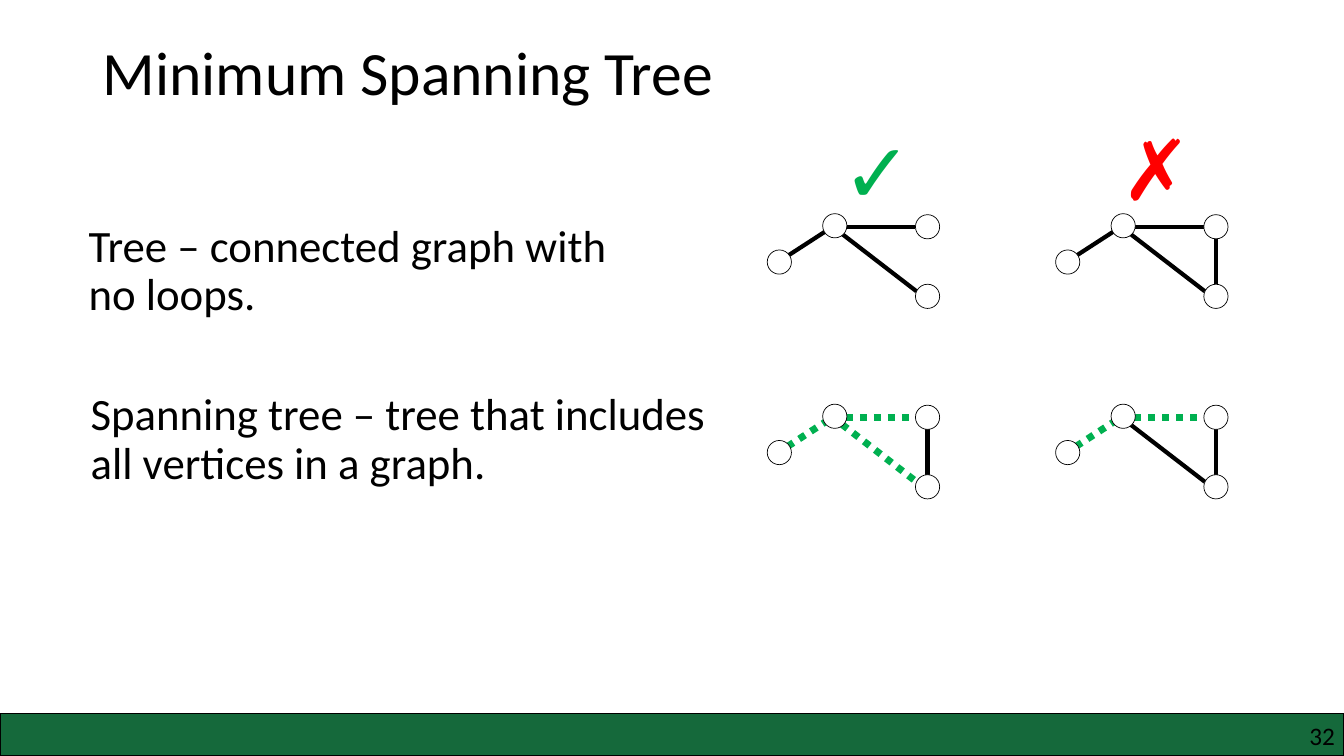
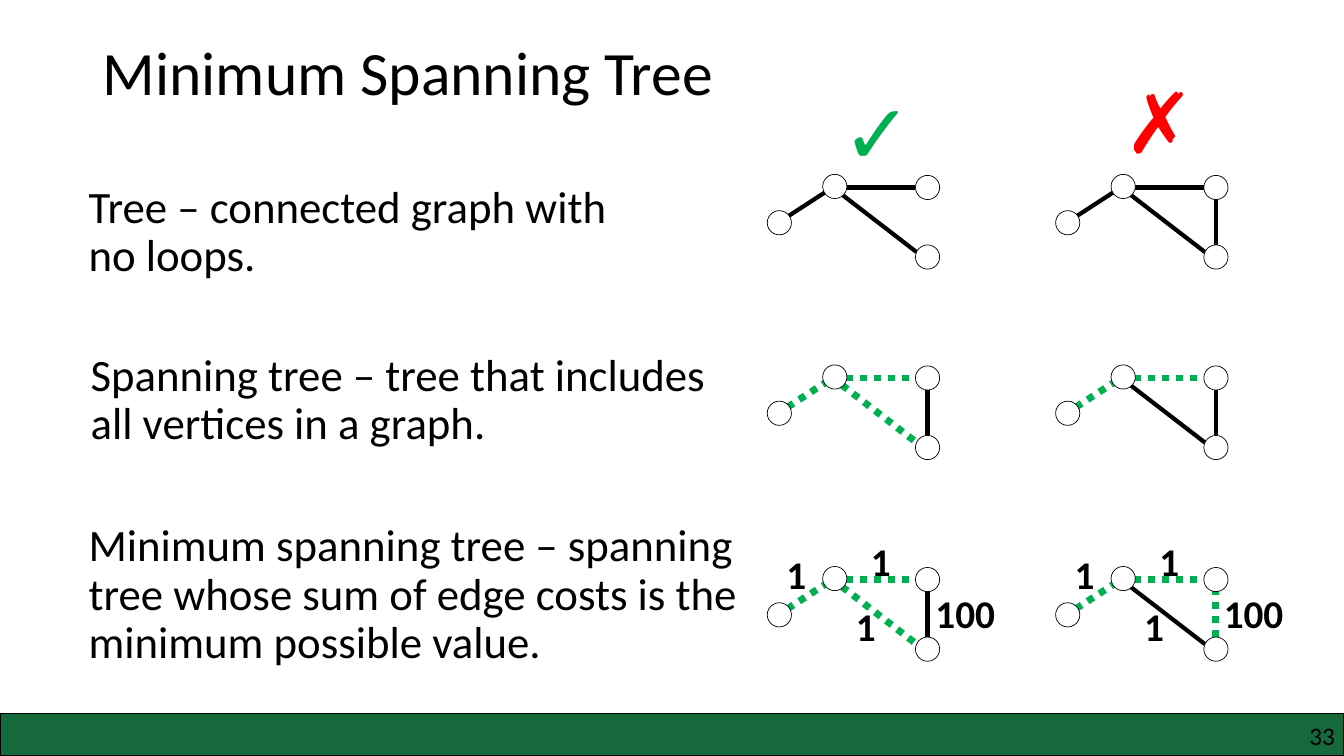
from lxml import etree
from pptx import Presentation
from pptx.dml import color
from pptx.enum import dml, shapes, text
from pptx.oxml import ns
from pptx.util import Inches, Pt

COLORS = {
    "black": "000000",
    "white": "FFFFFF",
    "green": "00B050",
    "red": "FF0000",
    "band": "15693B",
}
SLIDE_WIDTH, SLIDE_HEIGHT = 13.33, 7.5
BAND_TOP = 7.08
NODE_SIZE = 0.24
GRAPH_LEFT = 7.61
COLUMN_STEP = 2.86
NODES = [(0, 0.36), (1.47, 0.01), (0.55, 0), (1.47, 0.7)]
EDGES = {
    "left": ((0.2, 0.42), (0.57, 0.18)),
    "top": ((0.78, 0.13), (1.47, 0.13)),
    "diagonal": ((0.74, 0.2), (1.48, 0.77)),
    "right": ((1.59, 0.7), (1.59, 0.21)),
}
COSTS = [
    ("1", 0.93, -0.34, 0.61),
    ("100", 1.57, 0.18, 0.86),
    ("1", 0.78, 0.31, 0.61),
    ("1", 0.09, -0.21, 0.61),
]
TREE, LOOP = ["left", "top", "diagonal"], list(EDGES)

DEFINITIONS = [
    {
        "text": "Tree – connected graph with no loops.",
        "box": (0.78, 1.78, 5.76, 1.06),
        "graph_top": 1.73,
        "graphs": [(TREE, []), (LOOP, [])],
        "costs": [],
    },
    {
        "text": "Spanning tree – tree that includes all vertices in a graph.",
        "box": (0.8, 3.45, 6.72, 1.06),
        "graph_top": 3.62,
        "graphs": [(LOOP, TREE), (LOOP, ["left", "top"])],
        "costs": [],
    },
    {
        "text": "Minimum spanning tree – spanning tree whose sum of edge costs "
                "is the minimum possible value.",
        "box": (0.78, 5.14, 6.72, 1.67),
        "graph_top": 5.62,
        "graphs": [(LOOP, TREE), (LOOP, ["left", "top", "right"])],
        "costs": COSTS,
    },
]


def rgb(name):
    return color.RGBColor.from_string(COLORS[name])


def add_text(container, content, box, size, font="Calibri", tint="black", bold=False):
    shape = container.add_textbox(*map(Inches, box))
    frame = shape.text_frame
    frame.word_wrap = True
    frame.text = content
    run_font = frame.paragraphs[0].runs[0].font
    run_font.name, run_font.size, run_font.bold = font, Pt(size), bold
    run_font.color.rgb = rgb(tint)
    return frame


def add_filled(container, kind, box, fill, line_width):
    shape = container.add_shape(kind, *map(Inches, box))
    shape.shadow.inherit = False
    shape.fill.solid()
    shape.fill.fore_color.rgb = rgb(fill)
    shape.line.color.rgb = rgb("black")
    shape.line.width = Pt(line_width)


def add_edge(container, left, top, edge, marked):
    (x1, y1), (x2, y2) = EDGES[edge]
    ends = (left + x1, top + y1, left + x2, top + y2)
    connector = container.add_connector(
        shapes.MSO_CONNECTOR.STRAIGHT, *map(Inches, ends))
    connector.line.color.rgb = rgb("green" if marked else "black")
    connector.line.width = Pt(5 if marked else 3)
    if marked:
        connector.line.dash_style = dml.MSO_LINE.ROUND_DOT
    etree.SubElement(connector._element.spPr, ns.qn("a:effectLst"))


def add_graph(slide, left, top, edges, marked, costs):
    group = slide.shapes.add_group_shape().shapes
    for edge in edges:
        add_edge(group, left, top, edge, edge in marked)
    for x, y in NODES:
        add_filled(group, shapes.MSO_SHAPE.OVAL,
                   (left + x, top + y, NODE_SIZE, NODE_SIZE), "white", 0.5)
    for cost, x, y, width in costs:
        add_text(group, cost, (left + x, top + y, width, 0.57), 28, bold=True)


def add_definition(slide, definition, shift):
    left, top, width, height = definition["box"]
    frame = add_text(slide.shapes, definition["text"],
                     (left, top + shift, width, height), 32)
    frame.paragraphs[0].line_spacing = 0.9
    for column, (edges, marked) in enumerate(definition["graphs"]):
        add_graph(slide, GRAPH_LEFT + column * COLUMN_STEP,
                  definition["graph_top"] + shift, edges, marked,
                  definition["costs"])


def add_mark(slide, mark, left, top, width, tint):
    add_text(slide.shapes, mark, (left, top, width, 1.11), 60, "Arial", tint, True)


def add_frame(slide, title, number):
    frame = add_text(slide.shapes, title, (0.92, 0.02, 11.5, 1.45), 44)
    frame.vertical_anchor = text.MSO_ANCHOR.MIDDLE
    frame.paragraphs[0].line_spacing = 0.9
    add_filled(slide.shapes, shapes.MSO_SHAPE.RECTANGLE,
               (0, BAND_TOP, SLIDE_WIDTH, SLIDE_HEIGHT - BAND_TOP), "band", 1)
    frame = add_text(slide.shapes, str(number), (10.17, 7.15, 3.07, 0.3), 18)
    frame.margin_left = frame.margin_right = 0
    frame.margin_top = frame.margin_bottom = 0
    frame.paragraphs[0].alignment = text.PP_ALIGN.RIGHT


def add_tree_slide(presentation, number, definitions, shift, cross_at):
    slide = presentation.slides.add_slide(presentation.slide_layouts[6])
    add_frame(slide, "Minimum Spanning Tree", number)
    for definition in definitions:
        add_definition(slide, definition, shift)
    add_mark(slide, "✓", 8.26, 0.75 + shift, 1.44, "green")
    add_mark(slide, "✗", *cross_at, 0.76, "red")


def main():
    presentation = Presentation()
    presentation.slide_width = Inches(SLIDE_WIDTH)
    presentation.slide_height = Inches(SLIDE_HEIGHT)
    add_tree_slide(presentation, 32, DEFINITIONS[:2], 0.39, (11.03, 1.11))
    add_tree_slide(presentation, 33, DEFINITIONS, 0, (11.05, 0.64))
    presentation.save("out.pptx")


if __name__ == "__main__":
    main()
